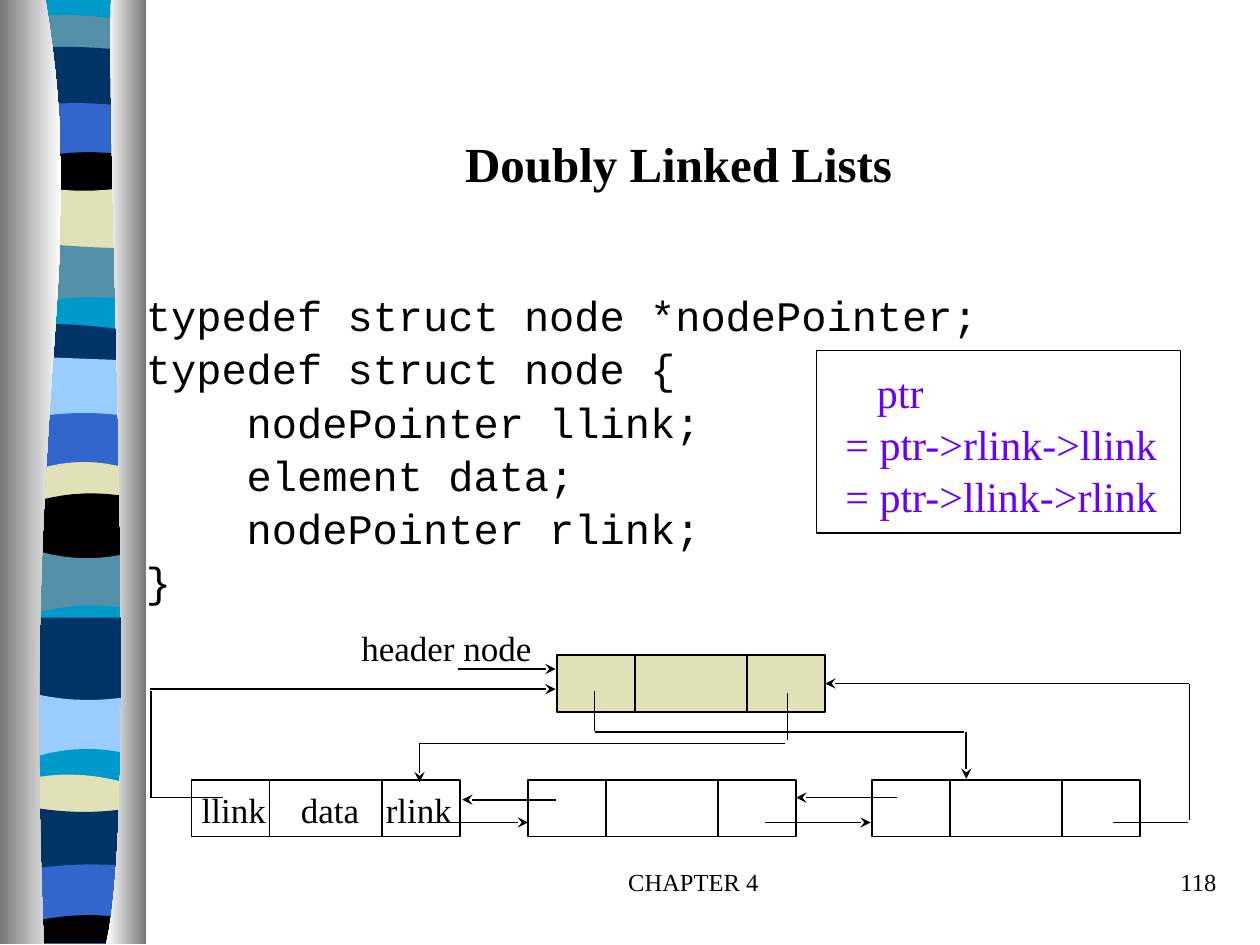
from lxml import etree
from pptx import Presentation
from pptx.dml.color import RGBColor
from pptx.enum import shapes, text
from pptx.oxml.ns import qn
from pptx.util import Pt

SERIF, MONO = "Times New Roman", "Courier New"
BLACK, CREAM, VIOLET = "000000", "E1E1B7", "6600FF"
NAVY, BLUE, CYAN, STEEL, SKY = "003366", "3366CC", "0099CC", "5490A8", "99CCFF"

# Colour, then height of the upper edge at the left, middle and right
BANDS = [
    (CYAN, 0, 0, 0), (STEEL, 9, 9, 12), (NAVY, 27, 27, 29),
    (BLUE, 60, 59, 61), (BLACK, 90, 87, 89), (CREAM, 107, 109, 107),
    (STEEL, 139, 141, 142), (CYAN, 172, 170, 171), (NAVY, 185, 186, 189),
    (SKY, 204, 205, 206), (BLUE, 238, 236, 238), (CREAM, 268, 264, 268),
    (BLACK, 286, 282, 284), (STEEL, 315, 319, 316), (CYAN, 350, 346, 348),
    (NAVY, 353, 353, 353), (SKY, 397, 400, 398), (CYAN, 432, 428, 431),
    (CREAM, 444, 443, 448), (NAVY, 462, 464, 462), (BLUE, 496, 494, 495),
    (BLACK, 526, 523, 525),
]
BAND_LEFT, BAND_RIGHT, BAND_BOTTOM = 22, 74, 539
# Start, two controls and end of the curved edge of each curtain
LEFT_CURTAIN = [(26, 0), (52, 155.5), (12, 213), (25, 539.5)]
RIGHT_CURTAIN = [(63.5, 0), (60.5, 90), (80, 465), (60.5, 539.5)]

# Text and left indent
CODE = [
    ("typedef struct node *nodePointer;", 0),
    ("typedef struct node {", 0),
    ("nodePointer llink;", 57.6),
    ("element data;", 57.6),
    ("nodePointer rlink;", 57.6),
    ("}", 0),
]
IDENTITY = [("ptr", 18), ("= ptr->rlink->llink", 0), ("= ptr->llink->rlink", 0)]

NODE_SIZE = (153.4, 32.4)
DIVIDERS = (44.6, 108.7)
NODES = [(109.4, 445.7), (301.7, 445.7), (498.2, 445.7)]
HEADER = (318.2, 374.4)
FIELDS = [("llink", 108.2), ("data", 164.8), ("rlink", 213.4)]

# x1, y1, x2, y2, arrowhead at the end
LINKS = [
    (245.5, 470, 301.7, 470, True), (317.5, 457, 264.2, 457, True),
    (437, 470, 497.5, 470, True), (512.6, 455.8, 455, 455.8, True),
    (635.8, 470, 679, 470, False), (679.7, 468.7, 679.7, 391, False),
    (127.4, 455.8, 85.7, 455.8, False), (86.4, 455.8, 86.4, 394.6, False),
    (85.7, 393.8, 317.5, 393.8, True), (262, 382.3, 317.5, 382.3, True),
    (450, 396, 450, 422.6, False), (448.6, 424.8, 239.8, 424.8, False),
    (239.8, 424.8, 239.8, 447, True), (339.8, 394.6, 339.8, 417.6, False),
    (339.8, 418.3, 550.8, 418.3, False), (552.2, 418.3, 552.2, 445, True),
]


def colour(code):
    return RGBColor.from_string(code)


def add_outline(page, points):
    builder = page.shapes.build_freeform(Pt(points[0][0]), Pt(points[0][1]))
    builder.add_line_segments([(Pt(x), Pt(y)) for x, y in points[1:]])
    outline = builder.convert_to_shape()
    outline.shadow.inherit = False
    outline.line.fill.background()
    return outline


def add_band(page, code, left, middle, right):
    """Band with a wavy top that runs down to the bottom; later bands cover it."""
    points = []
    for step in range(9):
        t = step / 8
        y = (left * (1 - t) * (1 - 2 * t) + 4 * middle * t * (1 - t)
             + right * t * (2 * t - 1))
        points.append((BAND_LEFT + t * (BAND_RIGHT - BAND_LEFT), y))
    points += [(BAND_RIGHT, BAND_BOTTOM), (BAND_LEFT, BAND_BOTTOM)]
    band = add_outline(page, points)
    band.fill.solid()
    band.fill.fore_color.rgb = colour(code)


def add_curtain(page, curve, edge, stops):
    """Gradient strip between a vertical edge and a Bezier curve."""
    points = []
    for step in range(33):
        t = step / 32
        weights = ((1 - t) ** 3, 3 * t * (1 - t) ** 2, 3 * t * t * (1 - t), t ** 3)
        points.append(tuple(sum(w * p[axis] for w, p in zip(weights, curve))
                            for axis in (0, 1)))
    curtain = add_outline(page, points + [(edge, 539.5), (edge, 0)])
    curtain.fill.gradient()
    curtain.fill.gradient_angle = 0
    for stop, code in zip(curtain.fill.gradient_stops, stops):
        stop.color.rgb = colour(code)


def write(box, lines, size, font=SERIF, code=BLACK, align=text.PP_ALIGN.LEFT,
          before=0, wrap=True, bold=False):
    frame = box.text_frame
    frame.word_wrap = wrap
    for index, (words, indent) in enumerate(lines):
        para = frame.paragraphs[0] if index == 0 else frame.add_paragraph()
        para.text = words
        para.alignment = align
        para.space_before = Pt(before)
        para.font.name, para.font.size, para.font.bold = font, Pt(size), bold
        para.font.color.rgb = colour(code)
        if indent:
            para._p.get_or_add_pPr().set("marL", str(Pt(indent)))


def add_text(page, place, lines, size, **style):
    write(page.shapes.add_textbox(*map(Pt, place)), lines, size, **style)


def add_box(page, place, fill=None, width=1):
    box = page.shapes.add_shape(shapes.MSO_SHAPE.RECTANGLE, *map(Pt, place))
    box.shadow.inherit = False
    box.line.color.rgb = colour(BLACK)
    box.line.width = Pt(width)
    if fill:
        box.fill.solid()
        box.fill.fore_color.rgb = colour(fill)
    else:
        box.fill.background()
    return box


def add_line(page, x1, y1, x2, y2, arrow=False):
    line = page.shapes.add_connector(
        shapes.MSO_CONNECTOR.STRAIGHT, Pt(x1), Pt(y1), Pt(x2), Pt(y2))
    line.line.color.rgb = colour(BLACK)
    line.line.width = Pt(1)
    if arrow:
        etree.SubElement(line.line._get_or_add_ln(), qn("a:tailEnd"), type="stealth")
    etree.SubElement(line._element.spPr, qn("a:effectLst"))
    return line


def add_node(page, left, top, fill=None):
    width, height = NODE_SIZE
    node = add_box(page, (left, top, width, height), fill)
    for offset in DIVIDERS:
        add_line(page, left + offset, top, left + offset, top + height)
    return node


def main():
    deck = Presentation()
    deck.slide_width, deck.slide_height = Pt(720), Pt(540)
    page = deck.slides.add_slide(deck.slide_layouts[5])

    for band in BANDS:
        add_band(page, *band)
    add_curtain(page, LEFT_CURTAIN, 0, ("767676", "FFFFFF"))
    add_curtain(page, RIGHT_CURTAIN, 83.5, ("FFFFFF", "767676"))

    title = page.shapes.title
    title.left, title.top, title.width, title.height = map(Pt, (56.2, 48.2, 663, 90))
    title.text_frame.vertical_anchor = text.MSO_ANCHOR.MIDDLE
    write(title, [("Doubly Linked Lists", 0)], 28, align=text.PP_ALIGN.CENTER, bold=True)

    add_text(page, (282.2, 492, 228, 36), [("CHAPTER 4", 0)], 14,
             align=text.PP_ALIGN.CENTER)
    add_text(page, (552.2, 492, 150, 36), [("118", 0)], 14, align=text.PP_ALIGN.RIGHT)
    add_text(page, (76.3, 162, 643, 210), CODE, 24, font=MONO, before=1.6)

    for left, top in NODES:
        add_node(page, left, top)
    header = add_node(page, *HEADER, fill=CREAM)
    for link in LINKS:
        add_line(page, *link)
    mid_right = HEADER[1] + NODE_SIZE[1] / 2
    back_link = add_line(page, 679.7, mid_right, 471.6, mid_right, True)
    back_link.end_connect(header, 3)

    add_text(page, (199.4, 354.2, 113, 31.7), [("header node", 0)], 20, wrap=False)
    for name, left in FIELDS:
        add_text(page, (left, 447, 55, 31.7), [(name, 0)], 20, wrap=False)
    add_text(page, (476, 206, 193, 93.6), IDENTITY, 24, code=VIOLET, before=1, wrap=False)
    add_box(page, (466.6, 200.2, 208, 104.4), width=0.75)

    deck.save("out.pptx")


if __name__ == "__main__":
    main()
